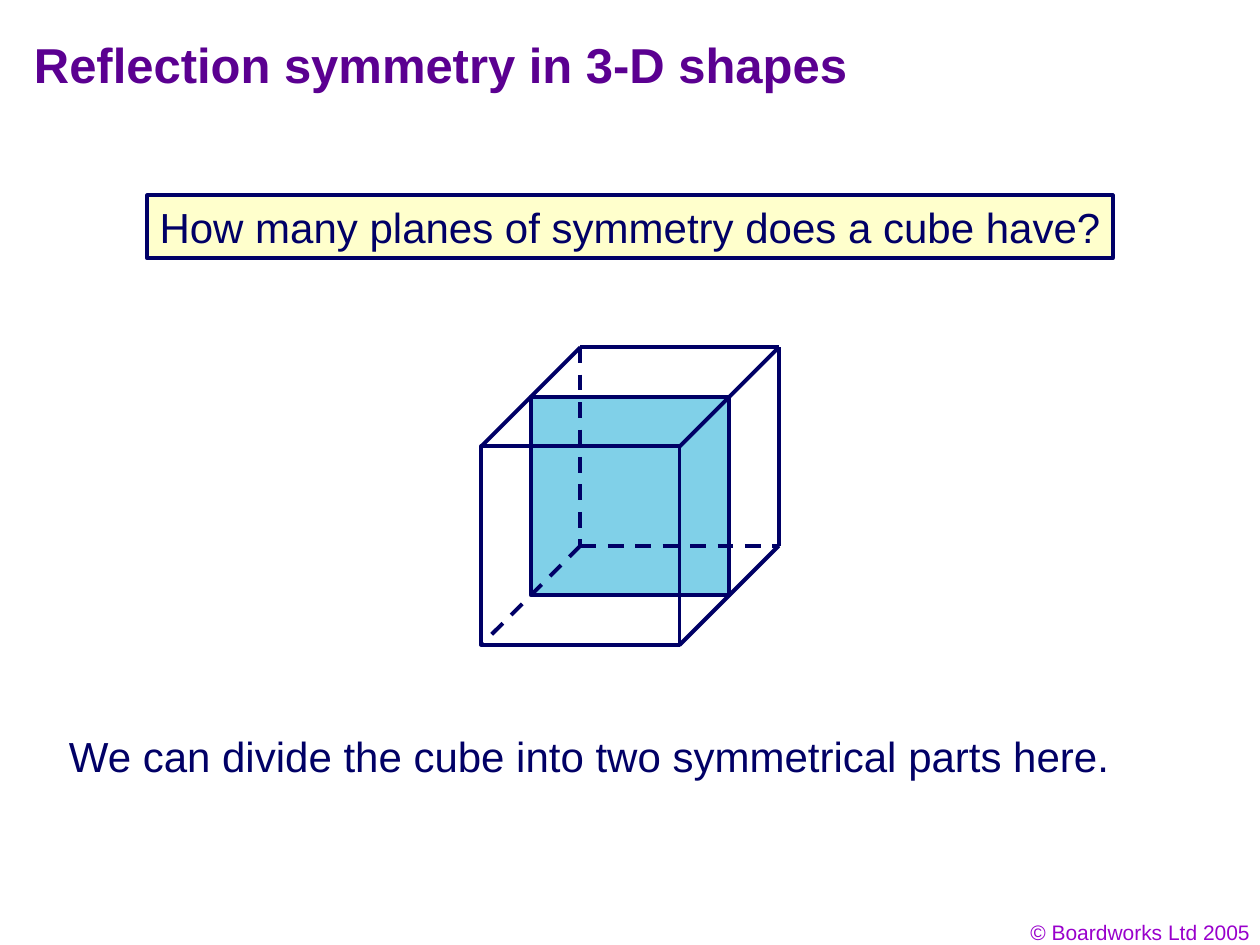
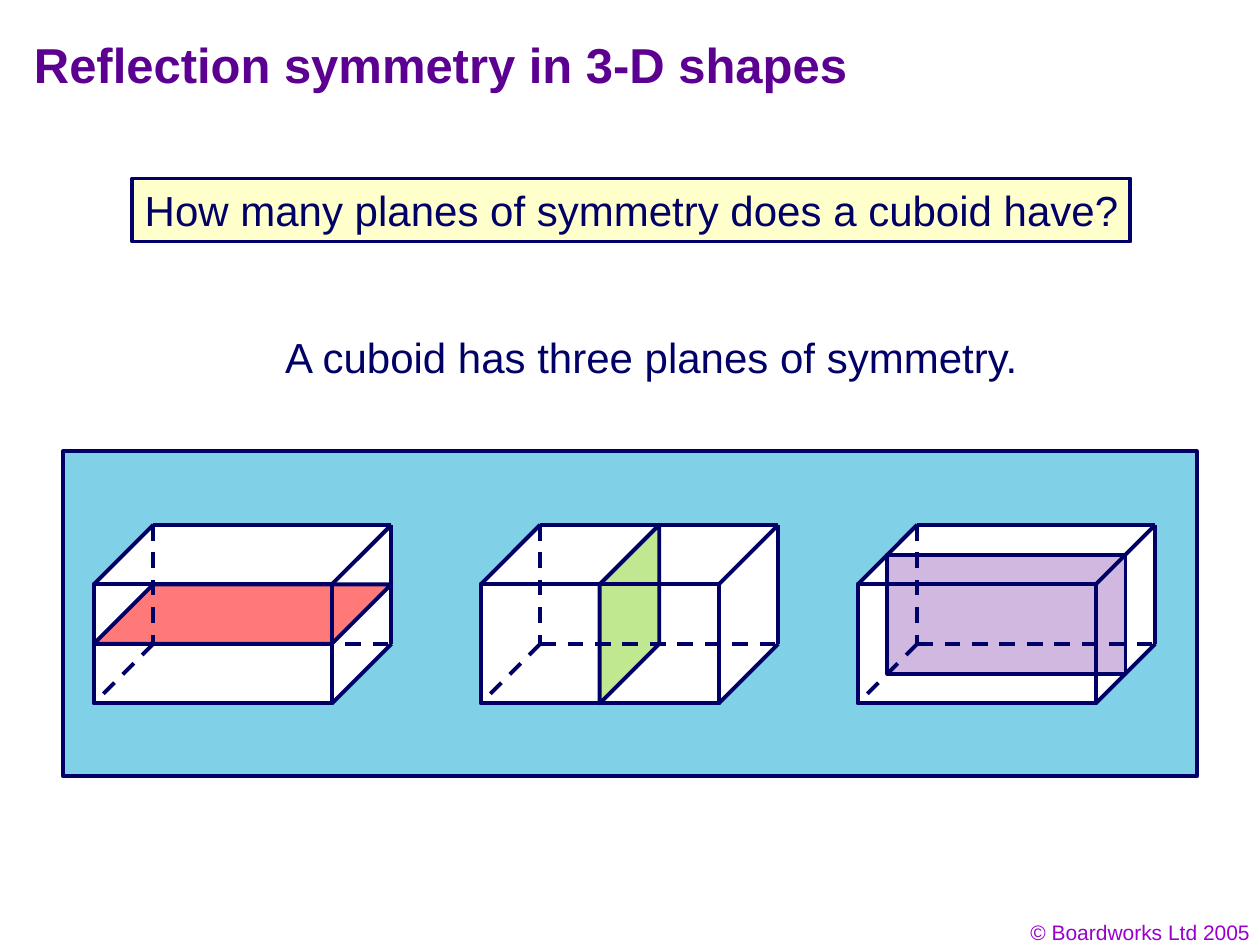
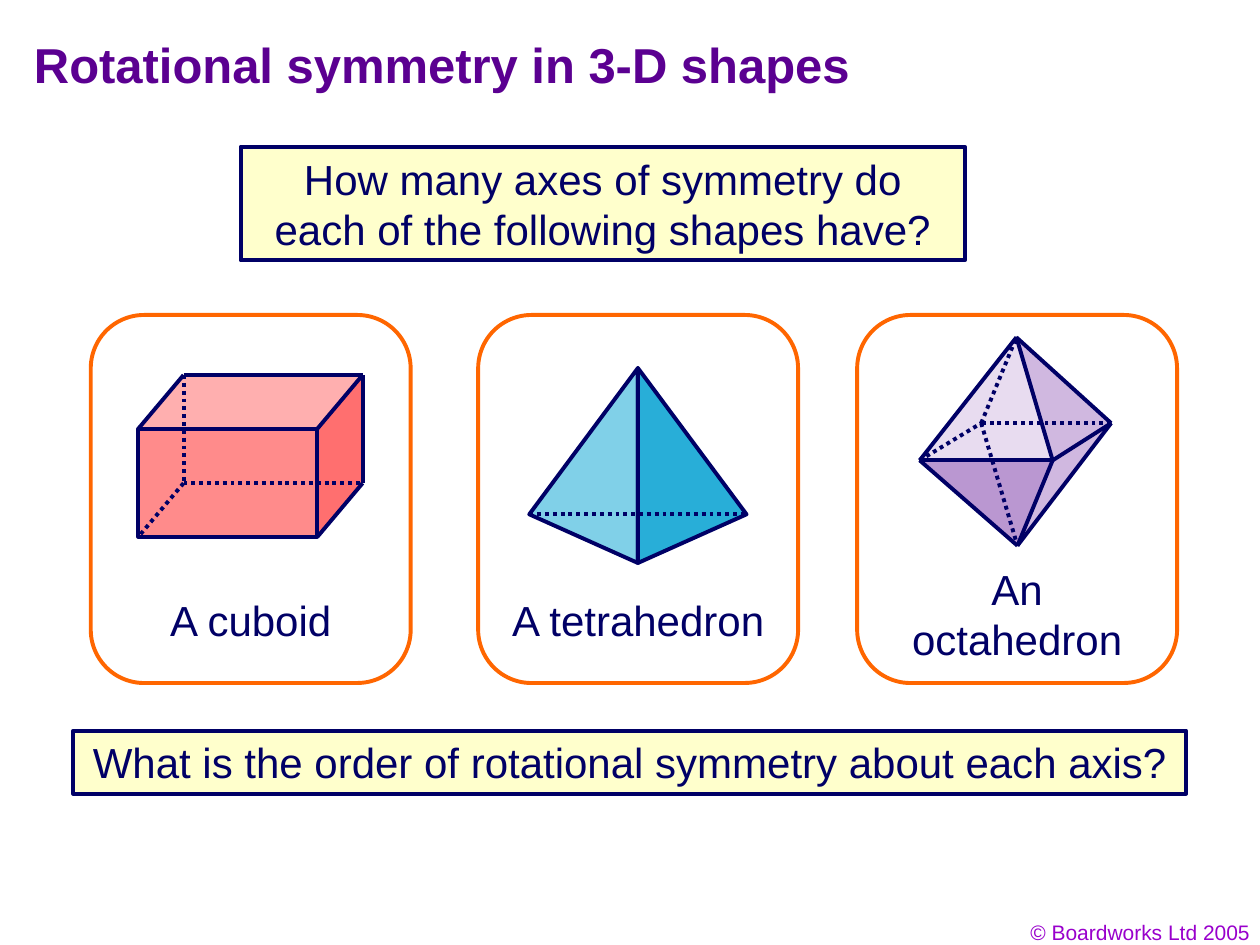
import lxml.etree
import pptx
import pptx.dml.color
import pptx.enum.dml
import pptx.enum.shapes
import pptx.enum.text
import pptx.oxml.ns
import pptx.util

Cm = pptx.util.Cm
Pt = pptx.util.Pt
RGBColor = pptx.dml.color.RGBColor
Shape = pptx.enum.shapes.MSO_SHAPE
Align = pptx.enum.text.PP_ALIGN
Anchor = pptx.enum.text.MSO_ANCHOR
Dash = pptx.enum.dml.MSO_LINE

# Colours
PURPLE = RGBColor(0x5B, 0x00, 0x91)
VIOLET = RGBColor(0x99, 0x00, 0xCC)
INK = RGBColor(0x01, 0x00, 0x66)
NAVY = RGBColor(0x00, 0x00, 0x66)
CREAM = RGBColor(0xFF, 0xFF, 0xCC)
WHITE = RGBColor(0xFF, 0xFF, 0xFF)
ORANGE = RGBColor(0xFF, 0x66, 0x00)
SKY = RGBColor(0x80, 0xD0, 0xE8)
BLUE = RGBColor(0x28, 0xAE, 0xD8)
GREEN = RGBColor(0xC0, 0xE8, 0x90)
CORAL = RGBColor(0xFF, 0x79, 0x79)
RED = RGBColor(0xFF, 0x6F, 0x6F)
ROSE = RGBColor(0xFF, 0x8B, 0x8B)
PINK = RGBColor(0xFF, 0xAF, 0xAF)
LILAC = RGBColor(0xD0, 0xB8, 0xE0)
MAUVE = RGBColor(0xBA, 0x97, 0xD1)
PALE = RGBColor(0xE8, 0xDC, 0xF0)

# Faces of a unit box as (across, down, back)
FRONT = [(0, 0, 0), (1, 0, 0), (1, 1, 0), (0, 1, 0)]
TOP = [(0, 0, 0), (0, 0, 1), (1, 0, 1), (1, 0, 0)]
SIDE = [(1, 0, 0), (1, 0, 1), (1, 1, 1), (1, 1, 0)]
OUTER = [(0, 1, 0), (0, 0, 0), (0, 0, 1), (1, 0, 1), (1, 1, 1), (1, 1, 0)]

# Planes of symmetry of the unit box
LEVEL = [(0, .5, 0), (1, .5, 0), (1, .5, 1), (0, .5, 1)]
CROSS = [(.5, 0, 0), (.5, 1, 0), (.5, 1, 1), (.5, 0, 1)]
MIDDLE = [(0, 0, .5), (1, 0, .5), (1, 1, .5), (0, 1, .5)]

# Edges of the unit box behind its front face
SEEN = [((0, 0, 0), (0, 0, 1)), ((1, 0, 0), (1, 0, 1)), ((1, 1, 0), (1, 1, 1)),
        ((0, 0, 1), (1, 0, 1)), ((1, 0, 1), (1, 1, 1))]
HIDDEN = [((0, 1, 1), (1, 1, 1)), ((0, 1, 1), (0, 1, 0)), ((0, 0, 1), (0, 1, 1))]


def write(frame, text, size=24, color=INK, bold=False, align=Align.LEFT,
          anchor=Anchor.TOP, wrap=True):
    frame.word_wrap = wrap
    frame.vertical_anchor = anchor
    frame.text = text
    para = frame.paragraphs[0]
    para.alignment = align
    font = para.font
    font.name, font.size, font.bold = "Arial", Pt(size), bold
    font.color.rgb = color


class Deck:
    """Holds the style and the current slide; all lengths are in cm."""

    def __init__(self):
        self.show = pptx.Presentation()
        self.show.slide_width, self.show.slide_height = Cm(25.4), Cm(19.05)
        self.slide = None

    def start(self, title):
        self.slide = self.show.slides.add_slide(self.show.slide_layouts[5])
        head = self.slide.shapes.title
        head.left, head.top, head.width, head.height = map(Cm, (.43, .43, 21.59, 1.7))
        write(head.text_frame, title, size=28, color=PURPLE, bold=True, anchor=Anchor.MIDDLE)
        self.label((19.53, 18.42, 5.92, .76), "© Boardworks Ltd 2005",
                   size=12, color=VIOLET, align=Align.RIGHT)

    def label(self, area, text, **style):
        box = self.slide.shapes.add_textbox(*map(Cm, area))
        write(box.text_frame, text, **style)

    def paint(self, shape, fill, line, width):
        shape.shadow.inherit = False
        if fill is None:
            shape.fill.background()
        else:
            shape.fill.solid()
            shape.fill.fore_color.rgb = fill
        if line is None:
            shape.line.fill.background()
        else:
            shape.line.color.rgb = line
            shape.line.width = Pt(width)

    def block(self, area, fill=None, line=NAVY, width=2.25, kind=Shape.RECTANGLE):
        shape = self.slide.shapes.add_shape(kind, *map(Cm, area))
        self.paint(shape, fill, line, width)
        return shape

    def ask(self, area, text, wrap=True):
        box = self.block(area, CREAM)
        write(box.text_frame, text, align=Align.CENTER, wrap=wrap)

    def patch(self, points, fill, line=NAVY, width=2.25):
        first, *rest = [(Cm(x), Cm(y)) for x, y in points]
        form = self.slide.shapes.build_freeform(*first, scale=1.0)
        form.add_line_segments(rest, close=True)
        self.paint(form.convert_to_shape(), fill, line, width)

    def edge(self, begin, end, dash=None):
        link = self.slide.shapes.add_connector(
            pptx.enum.shapes.MSO_CONNECTOR.STRAIGHT, *map(Cm, (*begin, *end)))
        link.line.color.rgb = NAVY
        link.line.width = Pt(2.25)
        if dash is not None:
            link.line.dash_style = dash
        lxml.etree.SubElement(link._element.spPr, pptx.oxml.ns.qn("a:effectLst"))

    def solid(self, area, depth, faces, dash=Dash.DASH):
        """Box seen from the front; faces are (outline, fill, line)."""
        left, top, wide, high = area

        def spot(point):
            across, down, back = point
            return (left + across * wide + back * depth[0],
                    top + down * high - back * depth[1])

        for points, fill, line in faces:
            if len({back for _, _, back in points}) == 1:
                self.block((*spot(points[0]), wide, high), fill, line)
            else:
                self.patch(map(spot, points), fill, line)
        self.block(area)
        for begin, end in SEEN:
            self.edge(spot(begin), spot(end))
        for begin, end in HIDDEN:
            self.edge(spot(begin), spot(end), dash)

    def card(self, left, text, wide=6.45, top=11.86, high=1.27):
        self.block((left, 6.35, 6.45, 7.42), line=ORANGE, kind=Shape.ROUNDED_RECTANGLE)
        self.label((left + (6.45 - wide) / 2, top, wide, high), text, align=Align.CENTER)


def cube(deck):
    deck.start("Reflection symmetry in 3-D shapes")
    deck.solid((9.7, 9, 4, 4), (2, 2), [(MIDDLE, SKY, NAVY)])
    deck.label((1.14, 14.6, 21.72, 1.27),
               "We can divide the cube into two symmetrical parts here.", wrap=False)
    deck.ask((2.97, 3.94, 19.46, 1.27),
             "How many planes of symmetry does a cube have?", wrap=False)


def cuboid(deck):
    deck.start("Reflection symmetry in 3-D shapes")
    deck.block((1.27, 9.1, 22.86, 6.55), SKY)
    deck.ask((2.67, 3.6, 20.12, 1.27),
             "How many planes of symmetry does a cuboid have?", wrap=False)
    for left, plane, fill in ((1.89, LEVEL, CORAL), (9.69, CROSS, GREEN),
                              (17.29, MIDDLE, LILAC)):
        deck.solid((left, 11.78, 4.8, 2.4), (1.2, 1.2),
                   [(OUTER, WHITE, None), (plane, fill, NAVY)])
    deck.label((5.5, 6.55, 15.37, 1.27), "A cuboid has three planes of symmetry.", wrap=False)


def turns(deck):
    deck.start("Rotational symmetry in 3-D shapes")
    deck.ask((4.85, 2.96, 14.6, 2.29),
             "How many axes of symmetry do each of the following shapes have?")
    deck.ask((1.48, 14.73, 22.43, 1.27),
             "What is the order of rotational symmetry about each axis?")
    dots = Dash.ROUND_DOT

    # Cuboid
    deck.card(1.83, "A cuboid")
    deck.solid((2.79, 8.64, 3.61, 2.18), (.91, 1.08),
               [(SIDE, RED, None), (TOP, PINK, None), (FRONT, ROSE, None)], dots)

    # Tetrahedron
    deck.card(9.64, "A tetrahedron")
    apex, left, right, base = (12.86, 7.42), (10.67, 10.37), (15.05, 10.37), (12.86, 11.35)
    deck.patch([left, base, apex], SKY)
    deck.patch([right, base, apex], BLUE)
    deck.edge(left, right, dots)

    # Octahedron
    deck.card(17.28, "An octahedron", wide=5.18, top=11.23, high=2.29)
    left, front, right, back = (18.54, 9.28), (21.22, 9.28), (22.4, 8.53), (19.78, 8.53)
    apex, foot = (20.49, 6.8), (20.51, 11)
    for points, fill in (([front, right, foot], LILAC), ([left, front, foot], MAUVE),
                         ([front, right, apex], LILAC), ([left, front, apex], PALE)):
        deck.patch(points, fill, width=.75)
    for corner, dash in ((left, None), (front, None), (right, None), (back, dots)):
        deck.edge(corner, apex, dash)
        deck.edge(corner, foot, dash)
    for corner, dash in ((left, None), (right, None)):
        deck.edge(corner, front, dash)
        deck.edge(corner, back, dots)


def main():
    deck = Deck()
    for build in (cube, cuboid, turns):
        build(deck)
    deck.show.save("out.pptx")


if __name__ == "__main__":
    main()
